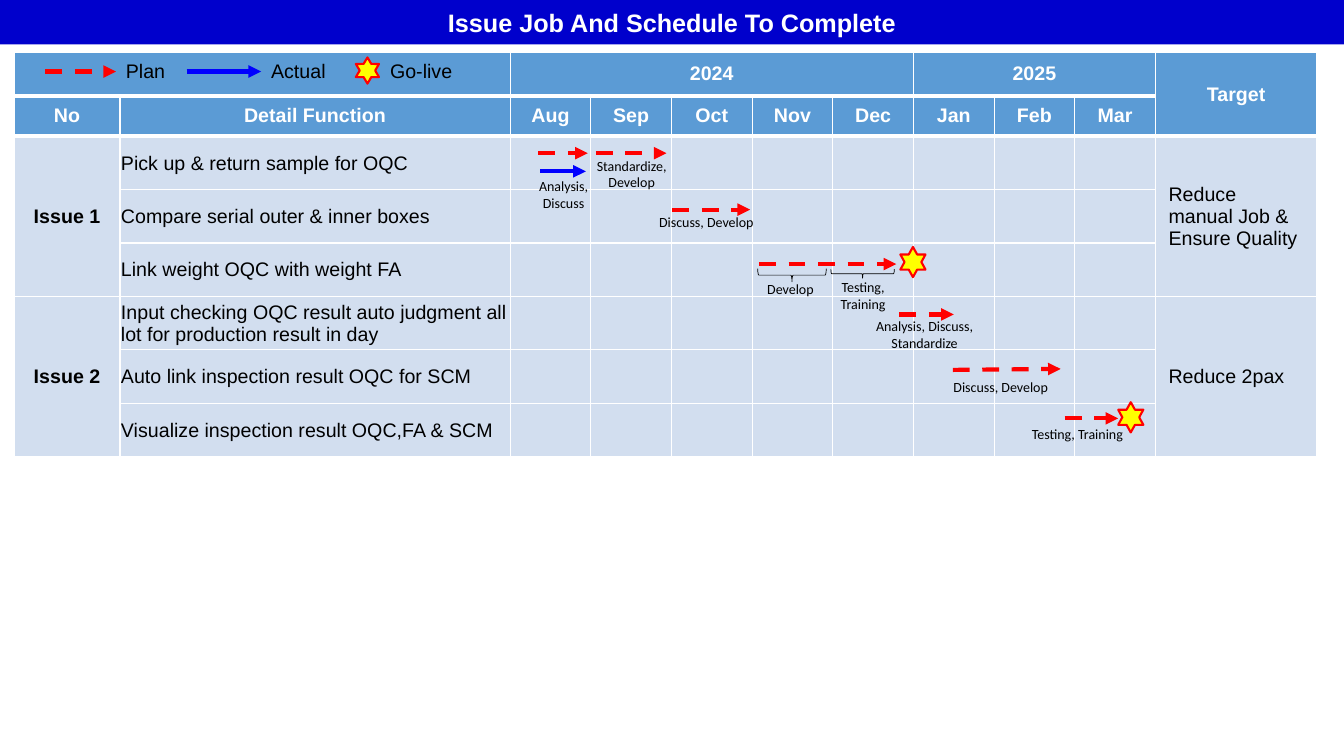
import pptx
import pptx.dml.color
import pptx.enum.dml
import pptx.enum.shapes
import pptx.enum.text
import pptx.oxml
import pptx.oxml.ns
import pptx.util

PX = 9144  # EMU per px, 100 px to the inch
SHAPES = pptx.enum.shapes.MSO_SHAPE
ALIGN = pptx.enum.text.PP_ALIGN
ANCHOR = pptx.enum.text.MSO_ANCHOR

COLUMN_WIDTHS = [105, 387] + [80] * 8 + [160]
ROW_HEIGHTS = [43, 40] + [53] * 6
MONTHS = ["Aug", "Sep", "Oct", "Nov", "Dec", "Jan", "Feb", "Mar"]
ISSUES = [
    ("Issue 1", "Reduce manual Job & Ensure Quality", [
        "Pick up & return sample for OQC",
        "Compare serial outer & inner boxes",
        "Link weight OQC with weight FA",
    ]),
    ("Issue 2", "Reduce 2pax", [
        "Input checking OQC result auto judgment all lot for production result in day",
        "Auto link inspection result OQC for SCM",
        "Visualize inspection result OQC,FA & SCM",
    ]),
]
LEGEND = [("Plan", 115, 59), ("Actual", 259, 75), ("Go-live", 377, 82)]
# Arrows: start x, start y, end x, end y
PLAN_ARROWS = [
    (45, 71, 115, 71), (534, 152, 583, 152), (591, 152, 661, 152),
    (667, 208, 744, 208), (753, 262, 889, 262), (892, 312, 946, 312),
    (945, 367, 1052, 366), (1056, 415, 1109, 415),
]
ACTUAL_ARROWS = [(185, 71, 259, 71), (536, 170, 581, 170)]
# Boxes: left, top, width, height
GO_LIVE_STARS = [(353, 57, 23, 26), (893, 245, 25, 30), (1109, 399, 25, 30)]
PHASE_BRACES = [(779, 239, 13, 68), (851, 240, 9, 63)]
PHASE_LABELS = [
    ("Analysis, Discuss", 516, 174, 86),
    ("Standardize, Develop", 576, 154, 101),
    ("Discuss, Develop", 640, 202, 121),
    ("Develop", 742, 268, 84),
    ("Testing, Training", 814, 275, 84),
    ("Analysis, Discuss, Standardize", 853, 313, 128),
    ("Discuss, Develop", 932, 365, 121),
    ("Testing, Training", 1008, 412, 121),
]


def px(*lengths):
    return [pptx.util.Emu(length * PX) for length in lengths]


def rgb(value):
    return pptx.dml.color.RGBColor.from_string(value)


class ScheduleSlide:
    FONT = "Arial"
    LABEL_FONT = "Calibri"
    TITLE_BLUE = "0000CC"
    HEADER = "5B9BD5"
    BODY = "D2DEEF"
    WHITE = "FFFFFF"
    BLACK = "000000"
    PLAN = "FF0000"
    ACTUAL = "0000FF"
    STAR = "FFFF00"

    def __init__(self, presentation):
        self.slide = presentation.slides.add_slide(presentation.slide_layouts[6])

    def set_text(self, frame, text, size=14, color=BLACK, bold=False,
                 align=ALIGN.LEFT, font=FONT):
        frame.text = text
        paragraph = frame.paragraphs[0]
        paragraph.alignment = align
        run_font = paragraph.runs[0].font
        run_font.name = font
        run_font.size = pptx.util.Pt(size)
        run_font.bold = bold
        run_font.color.rgb = rgb(color)

    def shape(self, kind, box, fill=None, line=None, line_width=1.5, rotation=0):
        shape = self.slide.shapes.add_shape(kind, *px(*box))
        shape.shadow.inherit = False
        shape.rotation = rotation
        if fill:
            shape.fill.solid()
            shape.fill.fore_color.rgb = rgb(fill)
        else:
            shape.fill.background()
        if line:
            shape.line.color.rgb = rgb(line)
            shape.line.width = pptx.util.Pt(line_width)
        else:
            shape.line.fill.background()
        return shape

    def title(self, text):
        band = self.shape(SHAPES.RECTANGLE, (0, 0, 1333, 44), self.TITLE_BLUE)
        band.text_frame.vertical_anchor = ANCHOR.MIDDLE
        self.set_text(band.text_frame, text, 18, self.WHITE, True, ALIGN.CENTER)

    def arrow(self, ends, color, dashed=False):
        connector = self.slide.shapes.add_connector(
            pptx.enum.shapes.MSO_CONNECTOR.STRAIGHT, *px(*ends))
        connector.line.color.rgb = rgb(color)
        connector.line.width = pptx.util.Pt(3)
        if dashed:
            connector.line.dash_style = pptx.enum.dml.MSO_LINE.DASH
        qn = pptx.oxml.ns.qn
        properties = connector._element.spPr
        outline = properties.find(qn("a:ln"))
        outline.append(outline.makeelement(qn("a:tailEnd"), {"type": "triangle"}))
        properties.append(properties.makeelement(qn("a:effectLst"), {}))

    def legend_label(self, text, left, width):
        frame = self.slide.shapes.add_textbox(*px(left, 54, width, 34)).text_frame
        frame.word_wrap = False
        frame.auto_size = pptx.enum.text.MSO_AUTO_SIZE.SHAPE_TO_FIT_TEXT
        self.set_text(frame, text)

    def phase_label(self, text, left, top, width):
        frame = self.slide.shapes.add_textbox(*px(left, top, width, 37)).text_frame
        frame.word_wrap = True
        frame.vertical_anchor = ANCHOR.MIDDLE
        self.set_text(frame, text, 10, align=ALIGN.CENTER, font=self.LABEL_FONT)

    def style_cell(self, cell, row):
        """Fill a cell and rule it in white, thicker around the header rows."""
        cell.fill.solid()
        cell.fill.fore_color.rgb = rgb(self.HEADER if row < 2 else self.BODY)
        widths = {"L": 1, "R": 1, "T": 3 if row in (1, 2) else 1, "B": 3 if row < 2 else 1}
        properties = cell._tc.get_or_add_tcPr()
        for index, (side, width) in enumerate(widths.items()):
            properties.insert(index, pptx.oxml.parse_xml(
                f'<a:ln{side} {pptx.oxml.ns.nsdecls("a")} w="{pptx.util.Pt(width)}">'
                f'<a:solidFill><a:srgbClr val="{self.WHITE}"/></a:solidFill></a:ln{side}>'))

    def cell_text(self, cell, text, margins, **style):
        cell.vertical_anchor = ANCHOR.MIDDLE
        (cell.margin_left, cell.margin_top,
         cell.margin_right, cell.margin_bottom) = px(*margins)
        self.set_text(cell.text_frame, text, **style)

    def schedule_table(self):
        table = self.slide.shapes.add_table(
            len(ROW_HEIGHTS), len(COLUMN_WIDTHS),
            *px(14, 52, sum(COLUMN_WIDTHS), sum(ROW_HEIGHTS))).table
        table.first_row = table.horz_banding = False
        for column, width in zip(table.columns, px(*COLUMN_WIDTHS)):
            column.width = width
        for row, height in zip(table.rows, px(*ROW_HEIGHTS)):
            row.height = height
        for row in range(len(ROW_HEIGHTS)):
            for column in range(len(COLUMN_WIDTHS)):
                self.style_cell(table.cell(row, column), row)

        table.cell(0, 0).merge(table.cell(0, 1))
        table.cell(0, 2).merge(table.cell(0, 6))
        table.cell(0, 7).merge(table.cell(0, 9))
        table.cell(0, 10).merge(table.cell(1, 10))
        headers = [(0, 2, "2024"), (0, 7, "2025"), (0, 10, "Target")]
        headers += [(1, column, text) for column, text
                    in enumerate(["No", "Detail Function"] + MONTHS)]
        for row, column, text in headers:
            self.cell_text(table.cell(row, column), text, (0, 0, 0, 0),
                           color=self.WHITE, bold=True, align=ALIGN.CENTER)

        row = 2
        for issue, target, functions in ISSUES:
            last = row + len(functions) - 1
            for column in (0, 10):
                table.cell(row, column).merge(table.cell(last, column))
            self.cell_text(table.cell(row, 0), issue, (13, 7, 13, 7),
                           bold=True, align=ALIGN.CENTER)
            self.cell_text(table.cell(row, 10), target, (13, 7, 13, 7))
            for offset, function in enumerate(functions):
                self.cell_text(table.cell(row + offset, 1), function, (1, 1, 1, 0))
            row = last + 1


def main():
    presentation = pptx.Presentation()
    presentation.slide_width, presentation.slide_height = px(1333, 750)
    schedule = ScheduleSlide(presentation)
    schedule.title("Issue Job And Schedule To Complete")
    schedule.schedule_table()
    for label in LEGEND:
        schedule.legend_label(*label)
    for ends in PLAN_ARROWS:
        schedule.arrow(ends, schedule.PLAN, dashed=True)
    for ends in ACTUAL_ARROWS:
        schedule.arrow(ends, schedule.ACTUAL)
    for box in GO_LIVE_STARS:
        schedule.shape(SHAPES.STAR_6_POINT, box, schedule.STAR, schedule.PLAN)
    for box in PHASE_BRACES:
        schedule.shape(SHAPES.RIGHT_BRACE, box, line=schedule.BLACK,
                       line_width=0.5, rotation=90)
    for label in PHASE_LABELS:
        schedule.phase_label(*label)
    presentation.save("out.pptx")


if __name__ == "__main__":
    main()
